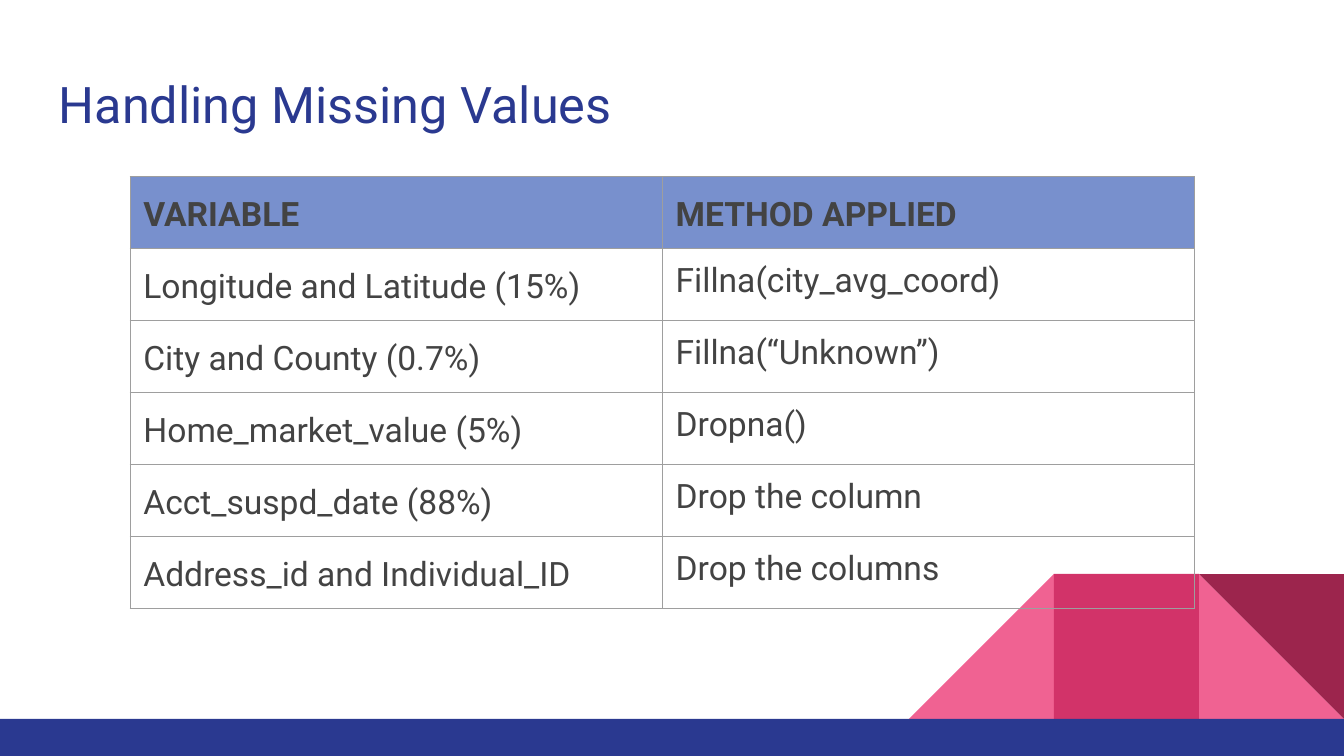
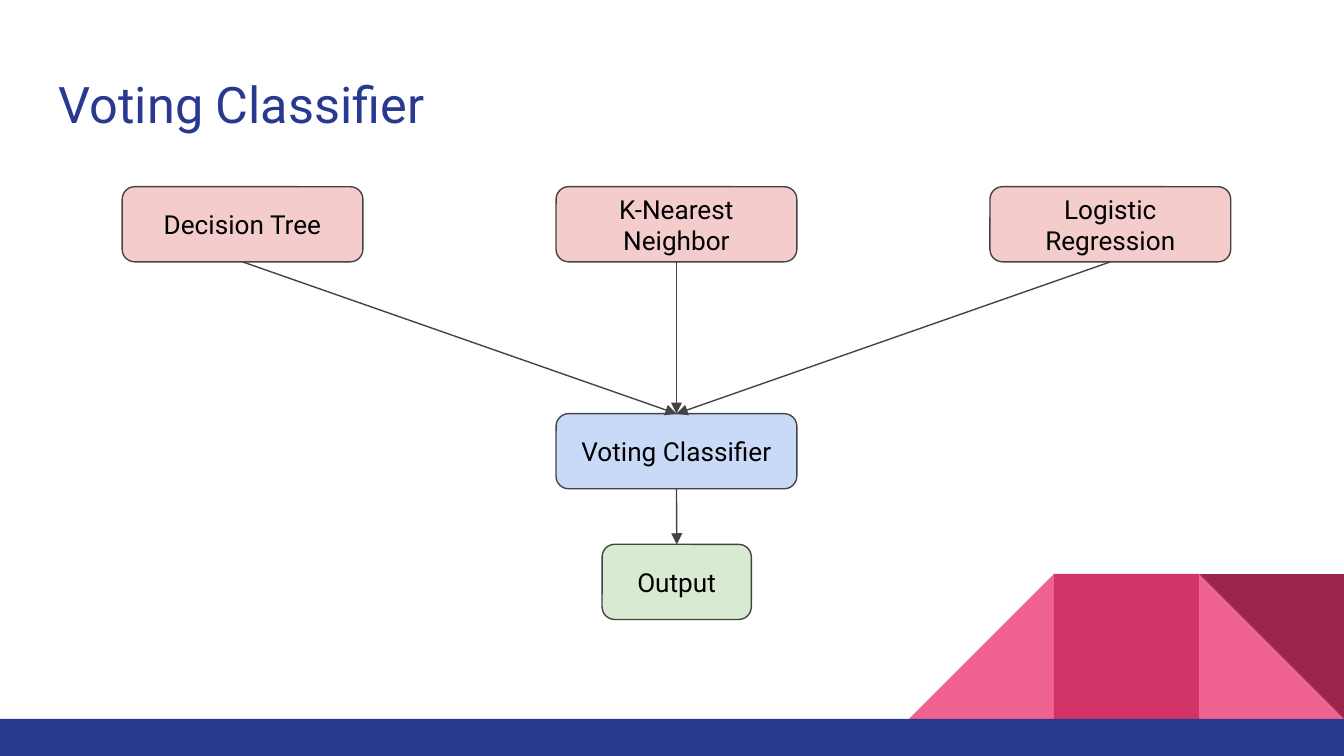
from dataclasses import dataclass
from typing import Any, NamedTuple, Optional

from lxml import etree
from pptx import Presentation
from pptx.dml.color import RGBColor
from pptx.enum.shapes import MSO_CONNECTOR, MSO_SHAPE
from pptx.enum.text import MSO_ANCHOR, MSO_AUTO_SIZE, PP_ALIGN
from pptx.oxml.ns import qn
from pptx.util import Cm, Pt

RECT = MSO_SHAPE.RECTANGLE
ROUNDED = MSO_SHAPE.ROUNDED_RECTANGLE
TRIANGLE = MSO_SHAPE.RIGHT_TRIANGLE
STRAIGHT = MSO_CONNECTOR.STRAIGHT
TOP, MIDDLE = MSO_ANCHOR.TOP, MSO_ANCHOR.MIDDLE
LEFT, CENTER = PP_ALIGN.LEFT, PP_ALIGN.CENTER
NO_FIT = MSO_AUTO_SIZE.NONE
SITE_TOP, SITE_BOTTOM = 0, 2
TITLE_ONLY = 5


@dataclass(frozen=True)
class Theme:
    font: str = "Roboto"
    navy: str = "2A3990"
    pink: str = "F06292"
    rose: str = "D23369"
    maroon: str = "9C254D"
    ink: str = "434343"
    black: str = "000000"
    grid: str = "9E9E9E"
    header: str = "7890CD"
    model: str = "F4CCCC"
    voter: str = "C9DAF8"
    output: str = "D9EAD3"
    title_size: float = 27
    table_size: float = 18
    box_size: float = 14
    line_width: float = 0.75
    inset: float = 0.25


class Decor(NamedTuple):
    kind: Any
    left: float
    top: float
    width: float
    height: float
    color: str
    flip: bool = False
    rotation: float = 0


class Box(NamedTuple):
    text: str
    left: float
    top: float
    color: str
    width: float = 4.55
    height: float = 1.42


THEME = Theme()
SLIDE_W, SLIDE_H = 25.4, 14.29
TILE = 2.74
BAND_TOP = 13.59
TILE_TOP = BAND_TOP - TILE


def tile(kind: Any, from_right: int, color: str, flip: bool = False,
         rotation: float = 0) -> Decor:
    return Decor(kind, SLIDE_W - from_right * TILE, TILE_TOP, TILE, TILE,
                 color, flip, rotation)


DECOR = [
    tile(TRIANGLE, 1, THEME.pink),
    tile(TRIANGLE, 3, THEME.pink, flip=True),
    tile(RECT, 2, THEME.rose),
    tile(TRIANGLE, 1, THEME.maroon, rotation=180),
    Decor(RECT, 0, BAND_TOP, SLIDE_W, SLIDE_H - BAND_TOP, THEME.navy),
]

TABLE_LEFT, TABLE_TOP = 2.46, 3.34
COL_W, ROW_H = 10.06, 1.36
MISSING_VALUES = [
    ("VARIABLE", "METHOD APPLIED"),
    ("Longitude and Latitude (15%)", "Fillna(city_avg_coord)"),
    ("City and County (0.7%)", "Fillna(“Unknown”)"),
    ("Home_market_value (5%)", "Dropna()"),
    ("Acct_suspd_date (88%)", "Drop the column"),
    ("Address_id and Individual_ID", "Drop the columns"),
]

MODEL_LEFT, MODEL_TOP, MODEL_STEP = 2.31, 3.53, 8.2
MODELS = [
    Box(name, MODEL_LEFT + i * MODEL_STEP, MODEL_TOP, THEME.model)
    for i, name in enumerate(
        ["Decision Tree", "K-Nearest Neighbor", "Logistic Regression"])
]
VOTER = Box("Voting Classifier", MODEL_LEFT + MODEL_STEP, 7.82, THEME.voter)
OUTPUT = Box("Output", 11.38, 10.29, THEME.output, width=2.82)


def rgb(color: str) -> RGBColor:
    return RGBColor.from_string(color)


def write(tf: Any, text: str, *, size: float, color: str, bold: bool = False,
          align: Any = LEFT, spacing: Optional[float] = None,
          after: Optional[float] = None) -> None:
    p = tf.paragraphs[0]
    p.alignment = align
    if spacing is not None:
        p.line_spacing = spacing
    if after is not None:
        p.space_after = Pt(after)
    r = p.add_run()
    r.text = text
    r.font.name = THEME.font
    r.font.size = Pt(size)
    r.font.bold = bold
    r.font.color.rgb = rgb(color)


def set_frame(holder: Any, anchor: Any) -> None:
    inset = Cm(THEME.inset)
    holder.margin_left = holder.margin_right = inset
    holder.margin_top = holder.margin_bottom = inset
    holder.vertical_anchor = anchor


def add_filled(slide: Any, kind: Any, left: float, top: float, width: float,
               height: float, color: str) -> Any:
    sp = slide.shapes.add_shape(kind, Cm(left), Cm(top), Cm(width), Cm(height))
    sp.shadow.inherit = False
    sp.fill.solid()
    sp.fill.fore_color.rgb = rgb(color)
    sp.line.fill.background()
    return sp


def move_decor_to_layout(slide: Any) -> None:
    tree = slide.slide_layout.shapes.element
    for i, d in enumerate(DECOR):
        sp = add_filled(slide, d.kind, d.left, d.top, d.width, d.height, d.color)
        sp.rotation = d.rotation
        if d.flip:
            sp.element.spPr.find(qn("a:xfrm")).set("flipH", "1")
        sp.element.nvSpPr.cNvPr.set("id", str(100 + i))
        tree.append(sp.element)


def add_slide(prs: Any, title: str) -> Any:
    slide = prs.slides.add_slide(prs.slide_layouts[TITLE_ONLY])
    sp = slide.shapes.title
    sp.left, sp.top, sp.width, sp.height = Cm(0.86), Cm(1.14), Cm(23.67), Cm(1.68)
    tf = sp.text_frame
    tf.auto_size = NO_FIT
    tf.word_wrap = True
    set_frame(tf, TOP)
    write(tf, title, size=THEME.title_size, color=THEME.navy)
    return slide


def add_borders(cell: Any) -> None:
    props = cell._tc.get_or_add_tcPr()
    for i, side in enumerate(("lnL", "lnR", "lnT", "lnB")):
        ln = etree.Element(qn(f"a:{side}"), w=str(Pt(THEME.line_width)))
        fill = etree.SubElement(ln, qn("a:solidFill"))
        etree.SubElement(fill, qn("a:srgbClr"), val=THEME.grid)
        props.insert(i, ln)


def add_missing_values_table(slide: Any) -> None:
    rows, cols = len(MISSING_VALUES), len(MISSING_VALUES[0])
    table = slide.shapes.add_table(
        rows, cols, Cm(TABLE_LEFT), Cm(TABLE_TOP),
        Cm(cols * COL_W), Cm(rows * ROW_H)).table
    table.first_row = table.horz_banding = False
    for i, texts in enumerate(MISSING_VALUES):
        for j, text in enumerate(texts):
            cell = table.cell(i, j)
            header = i == 0
            spaced = header or j == 0
            set_frame(cell, TOP)
            write(cell.text_frame, text, size=THEME.table_size,
                  color=THEME.ink, bold=header,
                  spacing=1.15 if spaced else None,
                  after=12 if spaced else None)
            if header:
                cell.fill.solid()
                cell.fill.fore_color.rgb = rgb(THEME.header)
            else:
                cell.fill.background()
            add_borders(cell)


def outline(line: Any) -> None:
    line.color.rgb = rgb(THEME.ink)
    line.width = Pt(THEME.line_width)


def add_box(slide: Any, box: Box) -> Any:
    sp = add_filled(slide, ROUNDED, box.left, box.top, box.width, box.height,
                    box.color)
    outline(sp.line)
    tf = sp.text_frame
    tf.word_wrap = True
    set_frame(tf, MIDDLE)
    write(tf, box.text, size=THEME.box_size, color=THEME.black, align=CENTER)
    return sp


def add_arrow(slide: Any, start: Any, end: Any) -> None:
    c = slide.shapes.add_connector(STRAIGHT, 0, 0, 0, 0)
    c.begin_connect(start, SITE_BOTTOM)
    c.end_connect(end, SITE_TOP)
    outline(c.line)
    props = c.element.spPr
    etree.SubElement(props.find(qn("a:ln")), qn("a:tailEnd"), type="triangle")
    etree.SubElement(props, qn("a:effectLst"))


def add_voting_diagram(slide: Any) -> None:
    models = [add_box(slide, box) for box in MODELS]
    voter = add_box(slide, VOTER)
    output = add_box(slide, OUTPUT)
    for model in models:
        add_arrow(slide, model, voter)
    add_arrow(slide, voter, output)


def main() -> None:
    prs = Presentation()
    prs.slide_width, prs.slide_height = Cm(SLIDE_W), Cm(SLIDE_H)
    slide = add_slide(prs, "Handling Missing Values")
    move_decor_to_layout(slide)
    add_missing_values_table(slide)
    add_voting_diagram(add_slide(prs, "Voting Classifier"))
    prs.save("out.pptx")


if __name__ == "__main__":
    main()
